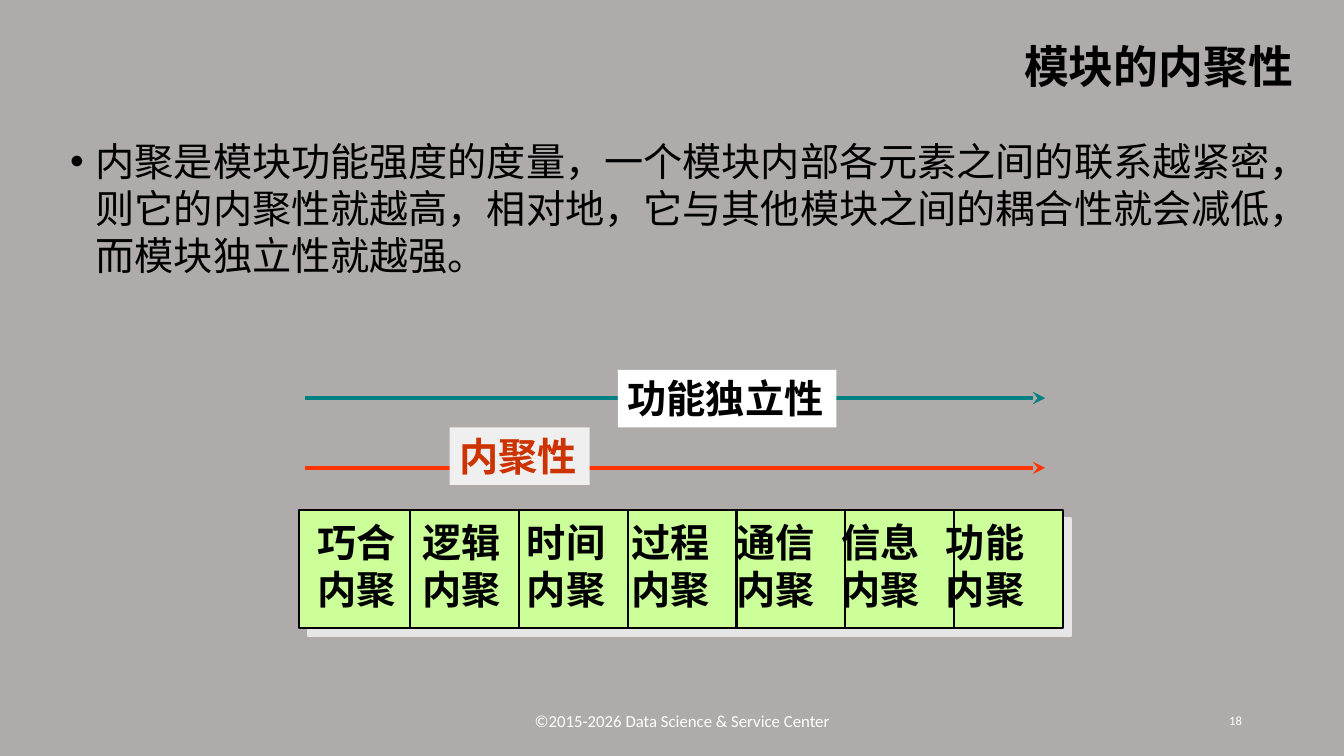
from lxml.etree import SubElement
from pptx import Presentation
from pptx.dml.color import RGBColor
from pptx.enum.shapes import MSO_CONNECTOR as Link, MSO_SHAPE as Shape
from pptx.enum.text import MSO_ANCHOR as Anchor, PP_ALIGN as Align
from pptx.oxml.ns import qn
from pptx.util import Cm, Pt

SANS, SERIF, PLAIN = "Noto Sans CJK SC", "Times New Roman", "Calibri"
BLACK, WHITE = "000000", "FFFFFF"


def color(code):
    return RGBColor.from_string(code)


def node(parent, tag, **attrs):
    """Append a DrawingML child with the given attributes."""
    item = SubElement(parent, qn(tag))
    for key, value in attrs.items():
        item.set(key, str(value))
    return item


class Board:
    """Holds the slide and its text style."""

    def __init__(self, slide, back):
        self.shapes = slide.shapes
        fill = slide.background.fill
        fill.solid()
        fill.fore_color.rgb = color(back)

    def style(self, para, size, ink, face, bold):
        for run in para.runs:
            font = run.font
            font.size, font.bold, font.name = Pt(size), bold, face
            font.color.rgb = color(ink)
            node(run._r.get_or_add_rPr(), "a:ea", typeface=SANS)

    def letter(self, shape, text, size, ink=BLACK, face=SERIF, bold=True,
               align=Align.LEFT, anchor=Anchor.TOP, wrap=True):
        """Fill a shape with styled text and return its paragraphs."""
        frame = shape.text_frame
        frame.text = text
        frame.word_wrap, frame.vertical_anchor = wrap, anchor
        for para in frame.paragraphs:
            para.alignment = align
            self.style(para, size, ink, face, bold)
        return frame.paragraphs

    def text(self, area, text, size, **look):
        box = self.shapes.add_textbox(*map(Cm, area))
        return self.letter(box, text, size, **look)

    def bullet(self, area, text, size):
        para = self.text(area, text, size, face=SANS, bold=False)[0]
        props = para._p.get_or_add_pPr()
        props.set("marL", str(Cm(0.64)))
        props.set("indent", str(-Cm(0.64)))
        node(props, "a:buFont", typeface="Arial")
        node(props, "a:buChar", char="•")

    def row(self, area, lines, size, pitch):
        """Lines of cells, set at equal tab stops."""
        text = "\n".join("\t".join(cells) for cells in lines)
        for para in self.text(area, text, size):
            tabs = node(para._p.get_or_add_pPr(), "a:tabLst")
            for step in range(1, len(lines[0])):
                node(tabs, "a:tab", pos=Cm(step * pitch), algn="l")

    def rect(self, area, fill, edge=None):
        shape = self.shapes.add_shape(Shape.RECTANGLE, *map(Cm, area))
        shape.shadow.inherit = False
        shape.fill.solid()
        shape.fill.fore_color.rgb = color(fill)
        if edge:
            shape.line.color.rgb = color(edge)
            shape.line.width = Pt(1.5)
        else:
            shape.line.fill.background()
        return shape

    def shade(self, shape, ink):
        """Hard shadow to the lower right."""
        effects = shape._element.spPr.find(qn("a:effectLst"))
        cast = node(effects, "a:outerShdw", blurRad=0, dist=Pt(8.5),
                    dir=45 * 60000, algn="ctr", rotWithShape=0)
        node(cast, "a:srgbClr", val=ink)

    def label(self, area, text, fill, ink):
        self.letter(self.rect(area, fill), text, 28, ink=ink, wrap=False)

    def line(self, ends, ink, width, head=False):
        link = self.shapes.add_connector(Link.STRAIGHT, *map(Cm, ends))
        link.line.color.rgb = color(ink)
        link.line.width = Pt(width)
        props = link._element.spPr
        if head:
            node(props.find(qn("a:ln")), "a:tailEnd", type="stealth",
                 w="med", len="med")
        node(props, "a:effectLst")


def main():
    deck = Presentation()
    deck.slide_width, deck.slide_height = Cm(33.87), Cm(19.05)
    board = Board(deck.slides.add_slide(deck.slide_layouts[6]), "AFABAB")

    board.text((4.14, 0.76, 28.7, 1.8), "模块的内聚性", 32, face=SANS,
               align=Align.RIGHT, anchor=Anchor.MIDDLE)
    board.bullet((1.52, 3.33, 30.81, 4),
                 "内聚是模块功能强度的度量，一个模块内部各元素之间的联系越紧密，"
                 "则它的内聚性就越高，相对地，它与其他模块之间的耦合性就会减低，"
                 "而模块独立性就越强。", 28)

    for y, ink in ((10.03, "008080"), (11.79, "FF3300")):
        board.line((7.68, y, 26.34, y), ink, 3, head=True)
    board.label((11.33, 10.77, 3.53, 1.45), "内聚性", "EFEFEF", "CC3300")
    board.label((15.57, 9.32, 5.51, 1.45), "功能独立性", WHITE, BLACK)

    kinds = ["巧合", "逻辑", "时间", "过程", "通信", "信息", "功能"]
    band = board.rect((7.54, 12.85, 19.25, 2.97), "CCFF99", BLACK)
    board.shade(band, "E7E6E6")
    board.row((7.75, 12.93, 19.02, 2.64),
              [kinds, ["内聚"] * len(kinds)], 28, 2.64)
    for step in range(len(kinds) - 1):
        x = 10.34 + 2.74 * step
        board.line((x, 12.87, x, 15.8), BLACK, 1.5)

    foot = dict(ink=WHITE, face=PLAIN, bold=False, anchor=Anchor.MIDDLE)
    board.text((11.48, 17.65, 11.43, 1.02),
               "©2015-2026 Data Science & Service Center", 12,
               align=Align.CENTER, **foot)
    board.text((23.93, 17.65, 7.62, 1.02), "18", 9,
               align=Align.RIGHT, **foot)
    deck.save("out.pptx")


if __name__ == "__main__":
    main()
